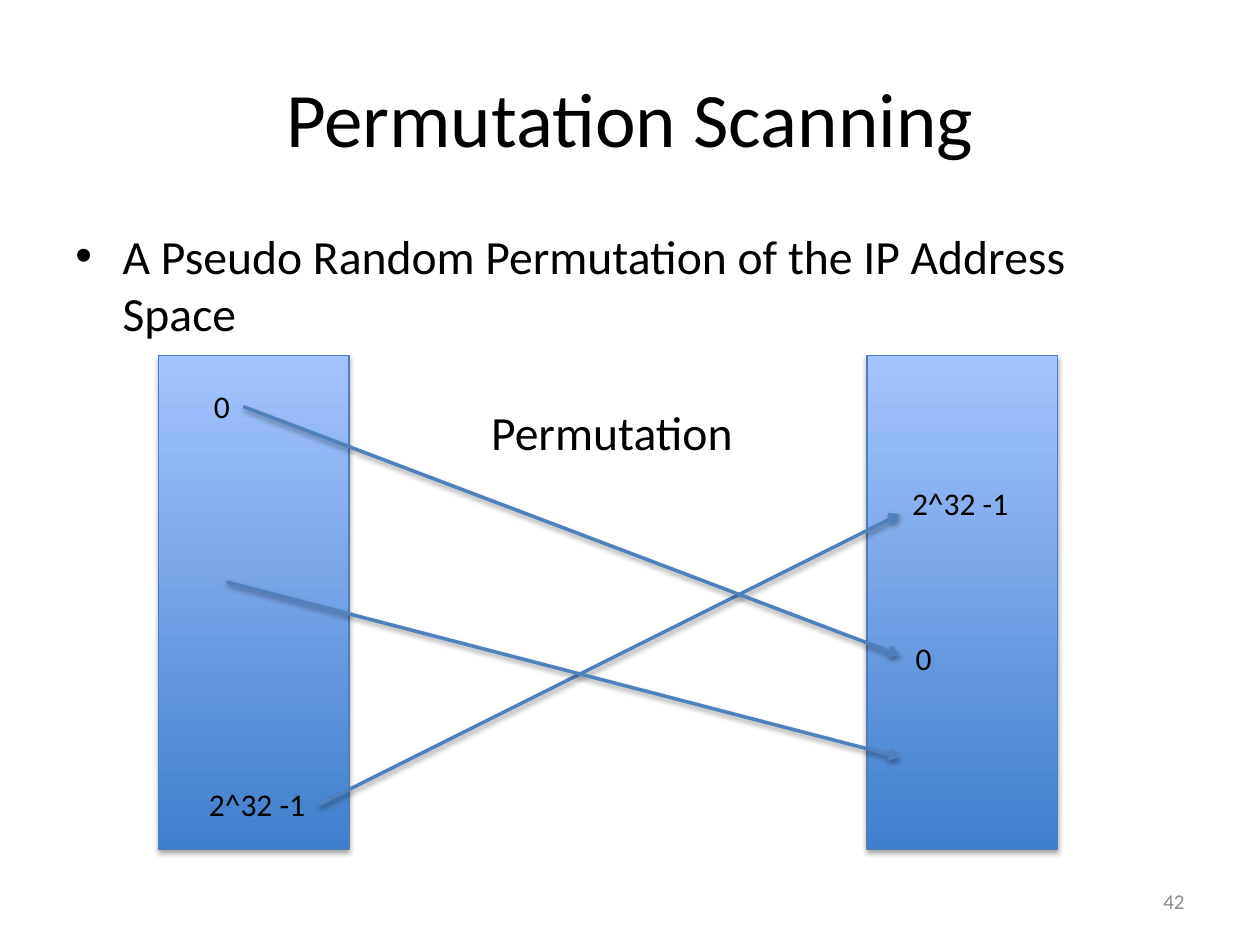
from lxml.etree import SubElement
from pptx import Presentation
from pptx.dml.color import RGBColor
from pptx.enum.shapes import MSO_CONNECTOR, MSO_SHAPE
from pptx.enum.text import MSO_ANCHOR, MSO_AUTO_SIZE, PP_ALIGN
from pptx.oxml.ns import qn
from pptx.util import Pt

COLORS = {
    "text": "000000",
    "number": "8C8C8C",
    "bar_bottom": "3F80CE",
    "bar_top": "A4C4FF",
    "bar_line": "4B7EBC",
    "arrow": "4F81BD",
    "shadow": "000000",
}
FONT = "Calibri"
BAR_TOP, BAR_WIDTH, BAR_HEIGHT = 203, 108.7, 282.2
LABEL_HEIGHT = 29.1
TARGET_X = 514.1


def color(name):
    return RGBColor.from_string(COLORS[name])


def add_shadow(sp, dist, alpha):
    spPr = sp._element.spPr
    effects = spPr.find(qn("a:effectLst"))
    if effects is None:
        effects = SubElement(spPr, qn("a:effectLst"))
    shadow = SubElement(effects, qn("a:outerShdw"), blurRad=str(Pt(3.1)),
                        dist=str(Pt(dist)), dir="5400000", rotWithShape="0")
    clr = SubElement(shadow, qn("a:srgbClr"), val=COLORS["shadow"])
    SubElement(clr, qn("a:alpha"), val=str(alpha * 1000))


def add_text(s, text, box, size, fill="text", align=PP_ALIGN.LEFT, bullet=None, **frame):
    sp = s.shapes.add_textbox(*map(Pt, box))
    tf = sp.text_frame
    for name, value in {"word_wrap": True, **frame}.items():
        setattr(tf, name, value)
    p = tf.paragraphs[0]
    p.alignment = align
    if bullet:
        pPr = p._p.get_or_add_pPr()
        pPr.set("marL", str(Pt(27)))
        pPr.set("indent", str(Pt(-27)))
        SubElement(pPr, qn("a:buFont"), typeface="Arial")
        SubElement(pPr, qn("a:buChar"), char=bullet)
    r = p.add_run()
    r.text = text
    for name, value in {"name": FONT, "size": Pt(size)}.items():
        setattr(r.font, name, value)
    r.font.color.rgb = color(fill)
    return sp


def add_label(s, text, left, top, width):
    return add_text(s, text, (left, top, width, LABEL_HEIGHT), 18,
                    word_wrap=False, auto_size=MSO_AUTO_SIZE.SHAPE_TO_FIT_TEXT)


def add_bar(s, left):
    sp = s.shapes.add_shape(MSO_SHAPE.RECTANGLE,
                            *map(Pt, (left, BAR_TOP, BAR_WIDTH, BAR_HEIGHT)))
    sp.fill.gradient()
    sp.fill.gradient_angle = 90
    for stop, position, name in zip(sp.fill.gradient_stops, (0, 1), ("bar_bottom", "bar_top")):
        stop.position = position
        stop.color.rgb = color(name)
    sp.line.color.rgb = color("bar_line")
    sp.line.width = Pt(0.75)
    sp.shadow.inherit = False
    add_shadow(sp, 1.8, 35)


def add_arrow(s, start, end, source=None):
    sp = s.shapes.add_connector(MSO_CONNECTOR.STRAIGHT, *map(Pt, start + end))
    if source is not None:
        sp.begin_connect(source, 3)
    sp.line.color.rgb = color("arrow")
    sp.line.width = Pt(2)
    SubElement(sp.line._get_or_add_ln(), qn("a:tailEnd"), type="arrow")
    add_shadow(sp, 1.6, 38)


def main():
    prs = Presentation()
    prs.slide_width, prs.slide_height = Pt(720), Pt(540)
    s = prs.slides.add_slide(prs.slide_layouts[6])

    # Title, bullet and slide number
    add_text(s, "Permutation Scanning", (36, 21.6, 648, 90), 44,
             align=PP_ALIGN.CENTER, vertical_anchor=MSO_ANCHOR.MIDDLE)
    add_text(s, "A Pseudo Random Permutation of the IP Address Space",
             (36, 126, 648, 50.4), 27.2, bullet="•")
    add_text(s, "42", (516, 500.5, 168, 28.8), 12, fill="number",
             align=PP_ALIGN.RIGHT, vertical_anchor=MSO_ANCHOR.MIDDLE)

    # Address space before the permutation
    add_bar(s, 90.7)
    first = add_label(s, "0", 115.2, 217.8, 23.8)
    last = add_label(s, "2^32 -1", 112.3, 445.3, 69.8)

    # Address space after the permutation
    add_bar(s, 495.4)
    add_label(s, "0", 516.2, 361.4, 23.8)
    add_label(s, "2^32 -1", TARGET_X, 272.9, 69.8)

    # Mapping arrows
    add_arrow(s, (182.1, 459.9), (TARGET_X, 293.8), last)
    add_arrow(s, (139, 232.4), (TARGET_X, 374.4), first)
    add_arrow(s, (129.6, 332.6), (TARGET_X, 432.7))
    add_text(s, "Permutation", (273.6, 226.8, 161.3, 50.4), 27.2)

    prs.save("out.pptx")


if __name__ == "__main__":
    main()
